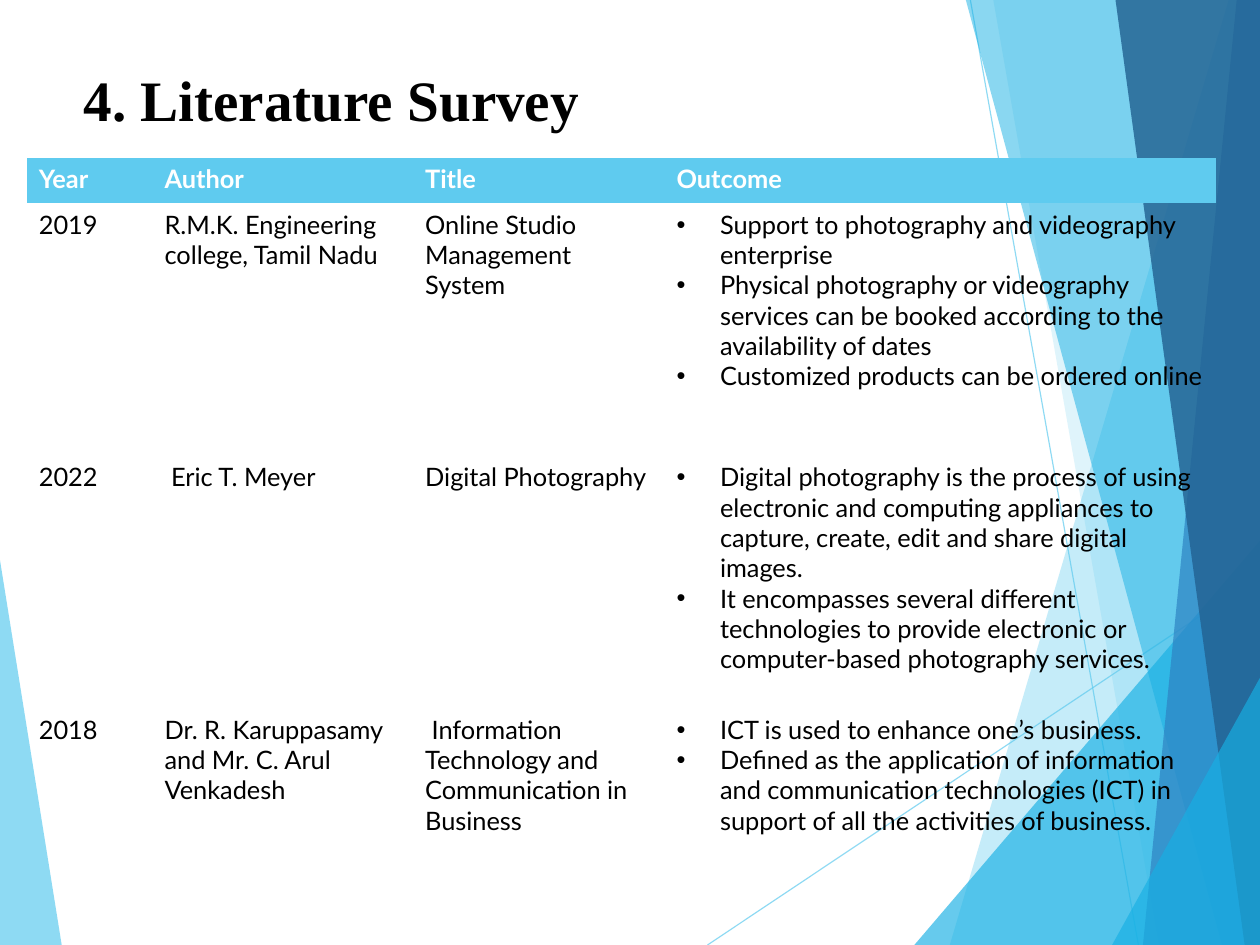
from lxml import etree
from pptx import Presentation
from pptx.dml.color import RGBColor
from pptx.enum.shapes import MSO_CONNECTOR
from pptx.enum.text import MSO_ANCHOR, PP_ALIGN
from pptx.oxml.ns import qn
from pptx.util import Inches, Pt

STRAIGHT = MSO_CONNECTOR.STRAIGHT
LEFT = PP_ALIGN.LEFT
TOP = MSO_ANCHOR.TOP
WIDTH, HEIGHT = 28 / 2.54, 21 / 2.54  # 28 by 21 cm
TITLE_ONLY = 5

SKY, CYAN, BLUE, NAVY = "5FCBEF", "17B0E4", "2E83C3", "236292"
BLACK, WHITE = "000000", "FFFFFF"

# points, colour, opacity in percent, from back to front
FACETS = [
    ([(0, 4.9), (0.54, HEIGHT), (0, HEIGHT)], SKY, 70),
    ([(10.75, 0), (8.31, HEIGHT), (WIDTH, HEIGHT), (WIDTH, 0)], SKY, 36),
    ([(8.69, 0), (10.14, HEIGHT), (WIDTH, HEIGHT), (WIDTH, 0)], SKY, 20),
    ([(8, HEIGHT), (WIDTH, 4.73), (WIDTH, HEIGHT)], CYAN, 66),
    ([(8.45, 0), (10.69, HEIGHT), (WIDTH, HEIGHT), (WIDTH, 0)], CYAN, 50),
    ([(10.82, 0), (10, HEIGHT), (WIDTH, HEIGHT), (WIDTH, 0)], BLUE, 70),
    ([(9.76, 0), (10.89, HEIGHT), (WIDTH, HEIGHT), (WIDTH, 0)], NAVY, 82),
    ([(9.73, HEIGHT), (WIDTH, 5.93), (WIDTH, HEIGHT)], CYAN, 66),
]
RAYS = [((6.19, HEIGHT), (WIDTH, 5.04)), ((8.49, 0), (9.96, HEIGHT))]

COLUMNS = [1.1, 2.28, 2.2, 4.82]
ROW_HEIGHTS = [0.4, 2.21, 2.21, 1.61]
SURVEY = [
    ("Year", "Author", "Title", "Outcome"),
    ("2019", "R.M.K. Engineering college, Tamil Nadu",
     "Online Studio Management System",
     ["Support to photography and videography enterprise",
      "Physical photography or videography services can be booked "
      "according to the availability of dates",
      "Customized products can be ordered online"]),
    ("2022", " Eric T. Meyer", "Digital Photography",
     ["Digital photography is the process of using electronic and computing "
      "appliances to capture, create, edit and share digital images.",
      "It encompasses several different technologies to provide electronic "
      "or computer-based photography services."]),
    ("2018", "Dr. R. Karuppasamy and Mr. C. Arul Venkadesh",
     " Information Technology and Communication in Business",
     ["ICT is used to enhance one’s business.",
      "Defined as the application of information and communication "
      "technologies (ICT) in support of all the activities of business."]),
]


def rgb(value):
    return RGBColor.from_string(value)


def add(parent, tag, **attributes):
    return etree.SubElement(parent, qn(tag), attributes)


def set_opacity(sp, percent):
    color = next(sp._element.spPr.iter(qn("a:srgbClr")))
    add(color, "a:alpha", val=str(percent * 1000))


class SurveySlide:
    """Holds the text style and the slide being drawn."""

    heading_font, body_font = "Times New Roman", "Lato"
    heading_size, body_size = 36, 16

    def __init__(self, prs):
        self.s = prs.slides.add_slide(prs.slide_layouts[TITLE_ONLY])

    def format(self, p, name, size, color, bold):
        p.alignment = LEFT
        p.font.name = name
        p.font.size = Pt(size)
        p.font.bold = bold
        p.font.color.rgb = rgb(color)

    def title(self, text, left, top, width, height):
        sp = self.s.shapes.title
        sp.left, sp.top = Inches(left), Inches(top)
        sp.width, sp.height = Inches(width), Inches(height)
        tf = sp.text_frame
        tf.text = text
        tf.word_wrap = True
        tf.vertical_anchor = TOP
        tf.margin_top = Inches(0.05)
        self.format(tf.paragraphs[0], self.heading_font, self.heading_size,
                    BLACK, True)

    def facet(self, points, color, opacity):
        corners = [(Inches(x), Inches(y)) for x, y in points]
        builder = self.s.shapes.build_freeform(*corners[0])
        builder.add_line_segments(corners[1:], close=True)
        sp = builder.convert_to_shape()
        sp.shadow.inherit = False
        sp.fill.solid()
        sp.fill.fore_color.rgb = rgb(color)
        sp.line.fill.background()
        set_opacity(sp, opacity)

    def ray(self, start, end):
        ends = [Inches(v) for v in (*start, *end)]
        line = self.s.shapes.add_connector(STRAIGHT, *ends)
        line.line.color.rgb = rgb(SKY)
        line.line.width = Pt(0.75)
        set_opacity(line, 70)
        add(line._element.spPr, "a:effectLst")

    def bullet(self, p):
        pPr = p._p.get_or_add_pPr()
        pPr.set("marL", str(Inches(0.38)))
        pPr.set("indent", str(-Inches(0.38)))
        add(add(pPr, "a:buClr"), "a:srgbClr", val=BLACK)
        add(pPr, "a:buFont", typeface="Arial")
        add(pPr, "a:buChar", char="•")

    def cell(self, cell, content, header):
        tcPr = cell._tc.get_or_add_tcPr()
        for side in ("L", "R", "T", "B"):
            add(add(tcPr, f"a:ln{side}", w="0"), "a:noFill")
        if header:
            cell.fill.solid()
            cell.fill.fore_color.rgb = rgb(SKY)
        else:
            cell.fill.background()
        bulleted = isinstance(content, list)
        tf = cell.text_frame
        tf.text = "\n".join(content) if bulleted else content
        for p in tf.paragraphs:
            if bulleted:
                self.bullet(p)
            self.format(p, self.body_font, self.body_size,
                        WHITE if header else BLACK, header)

    def table(self, rows, left, top, widths, heights):
        frame = self.s.shapes.add_table(
            len(rows), len(widths), Inches(left), Inches(top),
            Inches(sum(widths)), Inches(sum(heights)))
        table = frame.table
        table.horz_banding = False
        for column, width in zip(table.columns, widths):
            column.width = Inches(width)
        for i, (row, height) in enumerate(zip(table.rows, heights)):
            row.height = Inches(height)
            for cell, content in zip(row.cells, rows[i]):
                self.cell(cell, content, header=i == 0)


def main():
    prs = Presentation()
    prs.slide_width, prs.slide_height = Inches(WIDTH), Inches(HEIGHT)
    slide = SurveySlide(prs)
    for ray in RAYS:
        slide.ray(*ray)
    for facet in FACETS:
        slide.facet(*facet)
    slide.title("4. Literature Survey", 0.63, 0.51, 7.68, 1.12)
    slide.table(SURVEY, 0.24, 1.38, COLUMNS, ROW_HEIGHTS)
    prs.save("out.pptx")


if __name__ == "__main__":
    main()
